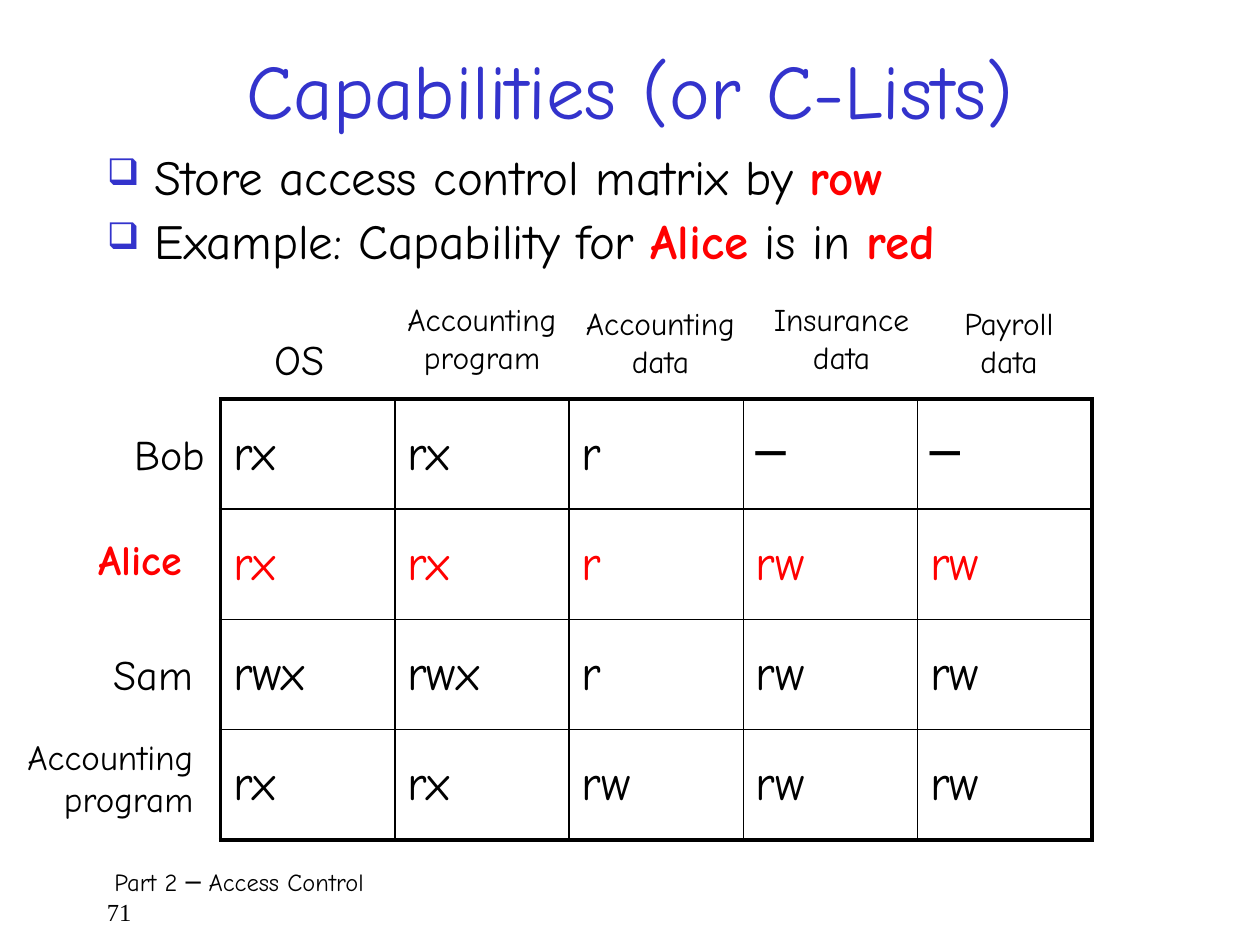
"""Build a slide that shows capability lists as the rows of an access control matrix."""
from dataclasses import dataclass

from lxml import etree
from pptx import Presentation, util as u
from pptx.dml.color import RGBColor
from pptx.enum import text
from pptx.oxml.ns import qn

COLORS = {"ink": "000000", "title": "3333CC", "alert": "FF0000"}
FONT = "Comic Neue"
COLS, ROWS = 120, 90
UNIT = u.Inches(10) // COLS
LEFT, CENTER, RIGHT = text.PP_ALIGN.LEFT, text.PP_ALIGN.CENTER, text.PP_ALIGN.RIGHT
THIN, THICK = 1, 2.25
GAP = u.Pt(6.4)

RIGHTS = [
    ["rx", "rx", "r", "─", "─"],
    ["rx", "rx", "r", "rw", "rw"],
    ["rwx", "rwx", "r", "rw", "rw"],
    ["rx", "rx", "rw", "rw", "rw"],
]
ALICE_ROW = 1


@dataclass
class Box:
    col: float
    row: float
    cols: float
    rows: float

    def lengths(self) -> list[int]:
        return [round(n * UNIT) for n in (self.col, self.row, self.cols, self.rows)]


@dataclass
class Label:
    box: Box
    words: str
    size: float = 18
    align: int = CENTER
    color: str = "ink"
    bold: bool = False
    wrap: bool = False


TITLE = Label(Box(9, 2, 102, 13), "Capabilities (or C-Lists)", 44, color="title", wrap=True)
FOOTER = Label(Box(9, 82, 103, 6), "Part 2 ─ Access Control\n71", 14, LEFT, wrap=True)
BODY = Box(9, 14, 102, 15)
MATRIX = Box(21, 38, 83, 42)
BULLETS = [
    [("Store access control matrix by ", False), ("row", True)],
    [("Example: Capability for ", False), ("Alice", True), (" is in ", False), ("red", True)],
]
HEADINGS = [
    Label(Box(25, 31.2, 8.4, 6.8), "OS", 24, LEFT),
    Label(Box(37, 28, 17.8, 9.6), "Accounting\nprogram"),
    Label(Box(54, 28.4, 17.8, 9.6), "Accounting\ndata"),
    Label(Box(72, 28, 16.3, 9.6), "Insurance\ndata"),
    Label(Box(90.2, 28.4, 11.8, 9.6), "Payroll\ndata"),
]
SUBJECTS = [
    Label(Box(11.6, 40.2, 9.4, 6.8), "Bob", 24, LEFT),
    Label(Box(8.2, 50.2, 11.9, 6.8), "Alice", 24, LEFT, "alert", True),
    Label(Box(9.6, 61.2, 10.3, 6.8), "Sam", 24, LEFT),
    Label(Box(0, 69.5, 19.6, 10.5), "Accounting\nprogram", 20, RIGHT),
]


def style_run(r, size: float, color: str = "ink", bold: bool = False, font: str = FONT) -> None:
    r.font.size, r.font.name, r.font.bold = u.Pt(size), font, bold
    r.font.color.rgb = RGBColor.from_string(COLORS[color])


def add_label(s, label: Label):
    tf = s.shapes.add_textbox(*label.box.lengths()).text_frame
    tf.word_wrap = label.wrap
    if not label.wrap:
        tf.auto_size = text.MSO_AUTO_SIZE.SHAPE_TO_FIT_TEXT
    tf.text = label.words
    for p in tf.paragraphs:
        p.alignment = label.align
        for r in p.runs:
            style_run(r, label.size, label.color, label.bold)
    return tf


def set_bullet(p) -> None:
    pPr = p._p.get_or_add_pPr()
    pPr.set("marL", str(u.Inches(0.38)))
    pPr.set("indent", str(-u.Inches(0.38)))
    color = etree.SubElement(pPr, qn("a:buClr"))
    etree.SubElement(color, qn("a:srgbClr"), val=COLORS["title"])
    etree.SubElement(pPr, qn("a:buSzPct"), val="75000")
    etree.SubElement(pPr, qn("a:buChar"), char="❑")


def add_bullets(s) -> None:
    tf = s.shapes.add_textbox(*BODY.lengths()).text_frame
    tf.word_wrap = True
    for i, parts in enumerate(BULLETS):
        p = tf.add_paragraph() if i else tf.paragraphs[0]
        p.line_spacing, p.space_before = 0.9, GAP
        set_bullet(p)
        for words, marked in parts:
            r = p.add_run()
            r.text = words
            style_run(r, 28, "alert" if marked else "ink", marked)


def set_borders(cell, widths: dict[str, float]) -> None:
    tcPr = cell._tc.get_or_add_tcPr()
    for side, width in widths.items():
        ln = etree.SubElement(tcPr, qn(f"a:ln{side}"), w=str(u.Pt(width)))
        fill = etree.SubElement(ln, qn("a:solidFill"))
        etree.SubElement(fill, qn("a:srgbClr"), val=COLORS["ink"])


def add_matrix(s) -> None:
    n_rows, n_cols = len(RIGHTS), len(RIGHTS[0])
    table = s.shapes.add_table(n_rows, n_cols, *MATRIX.lengths()).table
    table.first_row = table.horz_banding = False
    for i, row in enumerate(RIGHTS):
        for j, rights in enumerate(row):
            cell = table.cell(i, j)
            edges = {"L": j == 0, "R": j == n_cols - 1, "T": i == 0, "B": i == n_rows - 1}
            set_borders(cell, {side: THICK if outer else THIN for side, outer in edges.items()})
            cell.fill.background()
            cell.vertical_anchor = text.MSO_ANCHOR.MIDDLE
            cell.text_frame.text = rights
            p = cell.text_frame.paragraphs[0]
            p.space_before = GAP
            style_run(p.runs[0], 28, "alert" if i == ALICE_ROW else "ink")


def main() -> None:
    prs = Presentation()
    prs.slide_width, prs.slide_height = COLS * UNIT, ROWS * UNIT
    s = prs.slides.add_slide(prs.slide_layouts[6])
    part, number = add_label(s, FOOTER).paragraphs
    part._p.get_or_add_pPr().set("marL", str(u.Inches(0.06)))
    style_run(number.runs[0], 14, font="Times New Roman")
    add_label(s, TITLE).vertical_anchor = text.MSO_ANCHOR.MIDDLE
    add_bullets(s)
    add_matrix(s)
    for label in HEADINGS + SUBJECTS:
        add_label(s, label)
    prs.save("out.pptx")


if __name__ == "__main__":
    main()
